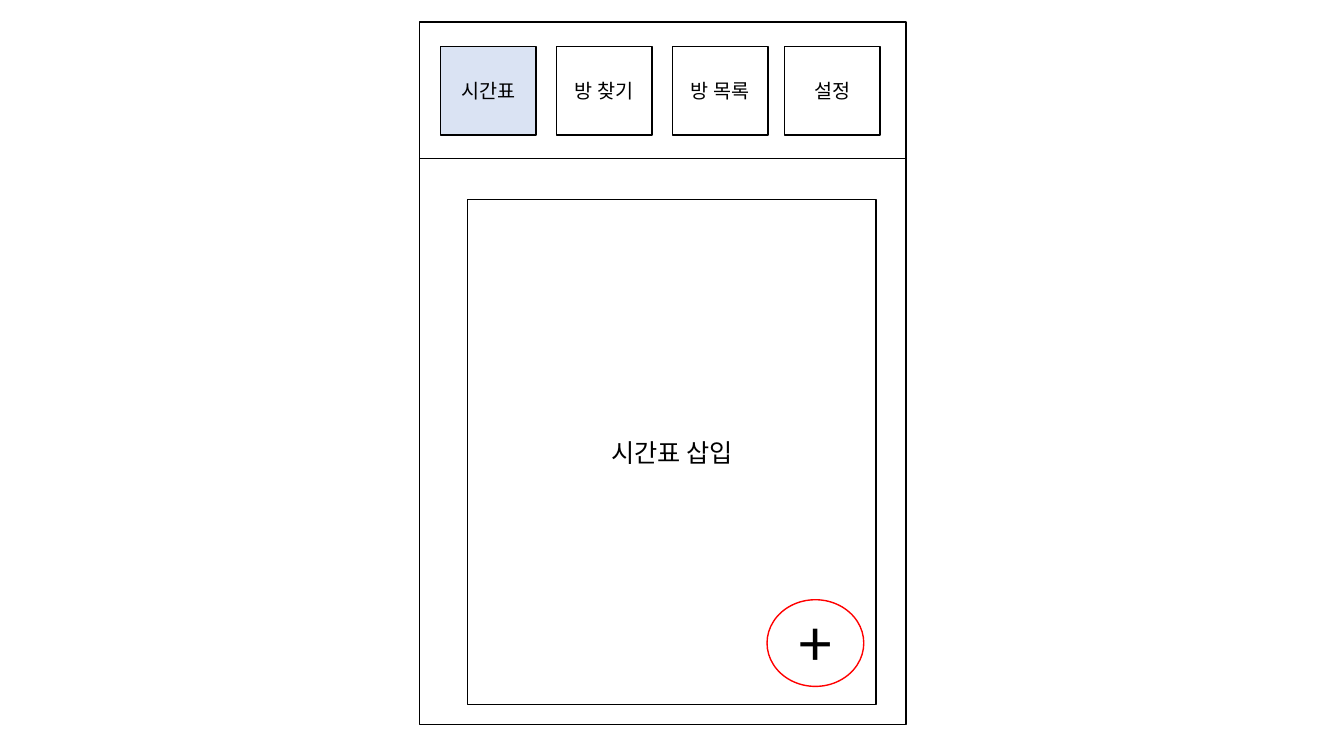
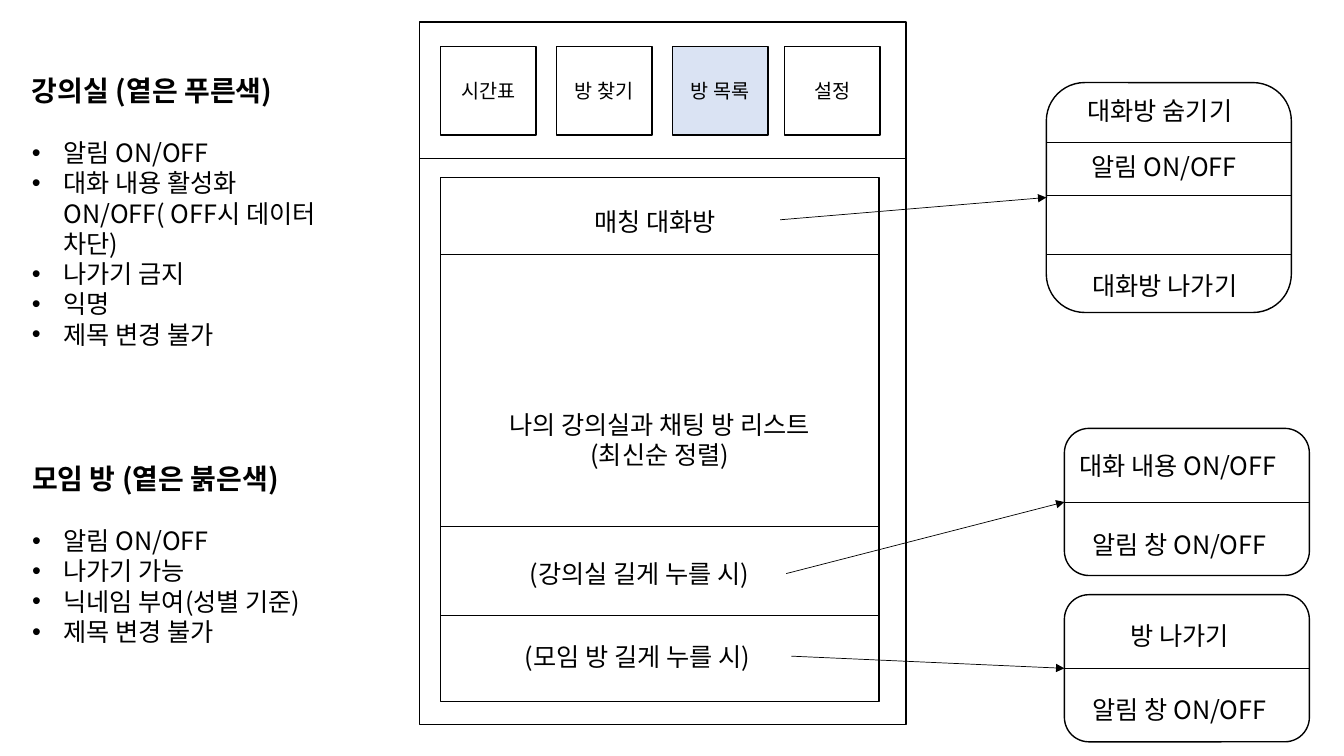
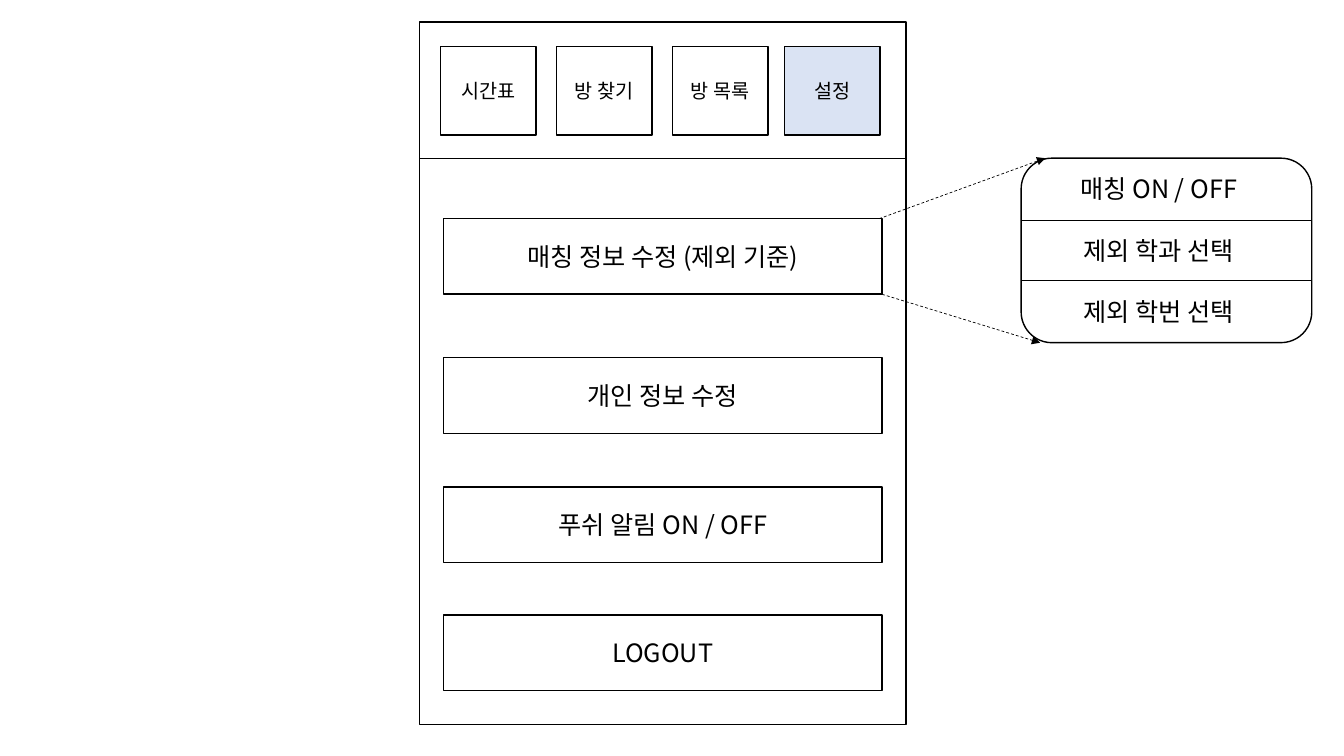
from dataclasses import dataclass

from lxml import etree
from pptx import Presentation, util as u
from pptx.dml.color import RGBColor
from pptx.enum import dml, shapes, text
from pptx.oxml import ns

# Shared look
FONT = "Noto Sans CJK KR"
BLACK, WHITE, RED, ACTIVE = "000000", "FFFFFF", "FF0000", "DAE3F3"
BODY, HEADING, TAB = 18, 20, 14
LINE_FACTOR = 1.2
BULLET_INDENT = 22.5
LABEL_HEIGHT = 28.8

# Phone frame shared by all slides
PHONE_LEFT, PHONE_TOP, PHONE_WIDTH, PHONE_HEIGHT = 299.5, 15.8, 347.8, 501.8
HEADER_BOTTOM = 113
TAB_TOP, TAB_WIDTH, TAB_HEIGHT = 33.1, 68.4, 63.4
TABS = {"시간표": 314.6, "방 찾기": 397.4, "방 목록": 480.2, "설정": 560.2}
CONTENT_WIDTH = 313.2

RECT = shapes.MSO_SHAPE.RECTANGLE
ROUND = shapes.MSO_SHAPE.ROUNDED_RECTANGLE
OVAL = shapes.MSO_SHAPE.OVAL


@dataclass(frozen=True)
class Label:
    left: float
    top: float
    width: float
    words: str


@dataclass(frozen=True)
class Popup:
    left: float
    top: float
    width: float
    height: float
    dividers: tuple[float, ...]
    labels: tuple[Label, ...]


@dataclass(frozen=True)
class Arrow:
    start: tuple[float, float]
    end: tuple[float, float]


@dataclass(frozen=True)
class Notes:
    top: float
    width: float
    height: float
    wrap: bool
    heading: str
    points: tuple[str, ...]


def color(hex_code: str) -> RGBColor:
    return RGBColor.from_string(hex_code)


def add_text(frame, words: str, *, size: float = BODY, bold: bool = False,
             center: bool = False, bullet: bool = False, gap: float = 0) -> None:
    """Write one paragraph, filling the frame's first one if it is still empty."""
    first = frame.paragraphs[0]
    paragraph = frame.add_paragraph() if first.runs else first
    paragraph.alignment = text.PP_ALIGN.CENTER if center else text.PP_ALIGN.LEFT
    paragraph.line_spacing = u.Pt(size * LINE_FACTOR)
    paragraph.space_before = u.Pt(gap)
    run = paragraph.add_run()
    run.text = words
    font = run.font
    font.name, font.size, font.bold = FONT, u.Pt(size), bold
    font.color.rgb = color(BLACK)
    east_asian = etree.SubElement(run._r.get_or_add_rPr(), ns.qn("a:ea"))
    east_asian.set("typeface", FONT)
    if bullet:
        props = paragraph._p.get_or_add_pPr()
        props.set("marL", str(u.Pt(BULLET_INDENT)))
        props.set("indent", str(-u.Pt(BULLET_INDENT)))
        etree.SubElement(props, ns.qn("a:buFont")).set("typeface", "Arial")
        etree.SubElement(props, ns.qn("a:buChar")).set("char", "•")


def add_box(slide, left: float, top: float, width: float, height: float, *words: str,
            kind=RECT, fill: str = WHITE, outline: str = BLACK, size: float = BODY) -> None:
    box = slide.shapes.add_shape(kind, u.Pt(left), u.Pt(top), u.Pt(width), u.Pt(height))
    box.shadow.inherit = False
    box.fill.solid()
    box.fill.fore_color.rgb = color(fill)
    box.line.color.rgb = color(outline)
    box.line.width = u.Pt(1)
    box.text_frame.vertical_anchor = text.MSO_ANCHOR.MIDDLE
    for line in words:
        add_text(box.text_frame, line, size=size, center=True)


def add_line(slide, start: tuple[float, float], end: tuple[float, float], *,
             arrow: bool = False, dashed: bool = False) -> None:
    line = slide.shapes.add_connector(shapes.MSO_CONNECTOR.STRAIGHT,
                                      *(u.Pt(value) for value in (*start, *end)))
    line.line.color.rgb = color(BLACK)
    line.line.width = u.Pt(0.5)
    if dashed:
        line.line.dash_style = dml.MSO_LINE.DASH
    if arrow:
        etree.SubElement(line.line._get_or_add_ln(), ns.qn("a:tailEnd")).set("type", "triangle")
    etree.SubElement(line._element.spPr, ns.qn("a:effectLst"))


def add_rules(slide, left: float, width: float, tops: tuple[float, ...]) -> None:
    for top in tops:
        add_line(slide, (left, top), (left + width, top))


def add_frame(slide, left: float, top: float, width: float, height: float, wrap: bool = False):
    frame = slide.shapes.add_textbox(u.Pt(left), u.Pt(top), u.Pt(width), u.Pt(height)).text_frame
    frame.word_wrap = wrap
    frame.auto_size = text.MSO_AUTO_SIZE.SHAPE_TO_FIT_TEXT
    return frame


def add_labels(slide, labels: tuple[Label, ...]) -> None:
    for label in labels:
        add_text(add_frame(slide, label.left, label.top, label.width, LABEL_HEIGHT), label.words)


def add_popup(slide, popup: Popup) -> None:
    add_box(slide, popup.left, popup.top, popup.width, popup.height, kind=ROUND)
    add_rules(slide, popup.left, popup.width, popup.dividers)
    add_labels(slide, popup.labels)


def add_notes(slide, notes: Notes) -> None:
    frame = add_frame(slide, 15.8, notes.top, notes.width, notes.height, notes.wrap)
    add_text(frame, notes.heading, size=HEADING, bold=True)
    for index, point in enumerate(notes.points):
        add_text(frame, point, bullet=True, gap=0 if index else BODY * LINE_FACTOR)


def add_screen(deck, active_tab: str):
    """Add a slide with the phone frame and its tab bar."""
    slide = deck.slides.add_slide(deck.slide_layouts[6])
    add_box(slide, PHONE_LEFT, PHONE_TOP, PHONE_WIDTH, PHONE_HEIGHT)
    for name, left in TABS.items():
        add_box(slide, left, TAB_TOP, TAB_WIDTH, TAB_HEIGHT, name, size=TAB,
                fill=ACTIVE if name == active_tab else WHITE)
    add_rules(slide, PHONE_LEFT, PHONE_WIDTH, (HEADER_BOTTOM,))
    return slide


deck = Presentation()
deck.slide_width, deck.slide_height = u.Pt(960), u.Pt(540)

# Timetable screen
timetable = add_screen(deck, "시간표")
add_box(timetable, 334.1, 142.6, 291.6, 360.7, "시간표 삽입")
add_box(timetable, 547.9, 428.4, 69.1, 61.9, "+", kind=OVAL, outline=RED, size=44)

# Room list screen
ROOM_LEFT = 314.6
ROOM_LABELS = (
    Label(417.6, 144, 111.6, "매칭 대화방"),
    Label(371.5, 395.3, 190.1, "(강의실 길게 누를 시)"),
    Label(367.9, 454.3, 196.6, "(모임 방 길게 누를 시)"),
)
ROOM_POPUPS = (
    Popup(747.4, 59, 175, 164.2, (101.5, 139.7, 181.4), (
        Label(769.7, 64.8, 130.3, "대화방 숨기기"),
        Label(772.6, 104.4, 124.6, "알림 ON/OFF"),
        Label(773.3, 189.4, 130.3, "대화방 나가기"))),
    Popup(760.3, 306, 175, 105.1, (358.6,), (
        Label(763.9, 318.2, 167, "대화 내용 ON/OFF"),
        Label(773.3, 374.4, 149, "알림 창 ON/OFF"))),
    Popup(760.3, 424.8, 175, 105.1, (477.4,), (
        Label(800.6, 439.2, 93.6, "방 나가기"),
        Label(773.3, 492.5, 149, "알림 창 ON/OFF"))),
)
ROOM_ARROWS = (
    Arrow((557.3, 157), (747.4, 141.1)),
    Arrow((561.6, 409.7), (760.3, 358.6)),
    Arrow((565.2, 468.7), (760.3, 477.4)),
)
ROOM_NOTES = (
    Notes(49, 249.1, 227.5, True, "강의실 (옅은 푸른색)", (
        "알림 ON/OFF", "대화 내용 활성화 ON/OFF( OFF시 데이터 차단)",
        "나가기 금지", "익명", "제목 변경 불가")),
    Notes(326.2, 224.6, 140.4, False, "모임 방 (옅은 붉은색)", (
        "알림 ON/OFF", "나가기 가능", "닉네임 부여(성별 기준)", "제목 변경 불가")),
)
rooms = add_screen(deck, "방 목록")
add_box(rooms, ROOM_LEFT, 126.7, CONTENT_WIDTH, 374.4,
        "나의 강의실과 채팅 방 리스트", "(최신순 정렬)")
add_rules(rooms, ROOM_LEFT, CONTENT_WIDTH, (181.4, 375.8, 439.2))
add_labels(rooms, ROOM_LABELS)
for room_popup in ROOM_POPUPS:
    add_popup(rooms, room_popup)
for room_arrow in ROOM_ARROWS:
    add_line(rooms, room_arrow.start, room_arrow.end, arrow=True)
for room_notes in ROOM_NOTES:
    add_notes(rooms, room_notes)

# Settings screen
SETTINGS = {"매칭 정보 수정 (제외 기준)": 156, "개인 정보 수정": 255.6,
            "푸쉬 알림 ON / OFF": 347.8, "LOGOUT": 439.2}
MATCHING_POPUP = Popup(729.4, 113, 207.6, 131.8, (157.5, 200.2), (
    Label(764.6, 120.2, 137.5, "매칭 ON / OFF"),
    Label(766.8, 164.9, 136.8, "제외 학과 선택"),
    Label(766.8, 208.1, 136.8, "제외 학번 선택")))
MATCHING_ARROWS = (
    Arrow((628, 156.2), (746.6, 113)),
    Arrow((630, 210.2), (743, 244.8)),
)
settings = add_screen(deck, "설정")
for setting, setting_top in SETTINGS.items():
    add_box(settings, 316.8, setting_top, CONTENT_WIDTH, 54.2, setting)
add_popup(settings, MATCHING_POPUP)
for matching_arrow in MATCHING_ARROWS:
    add_line(settings, matching_arrow.start, matching_arrow.end, arrow=True, dashed=True)

deck.save("out.pptx")
